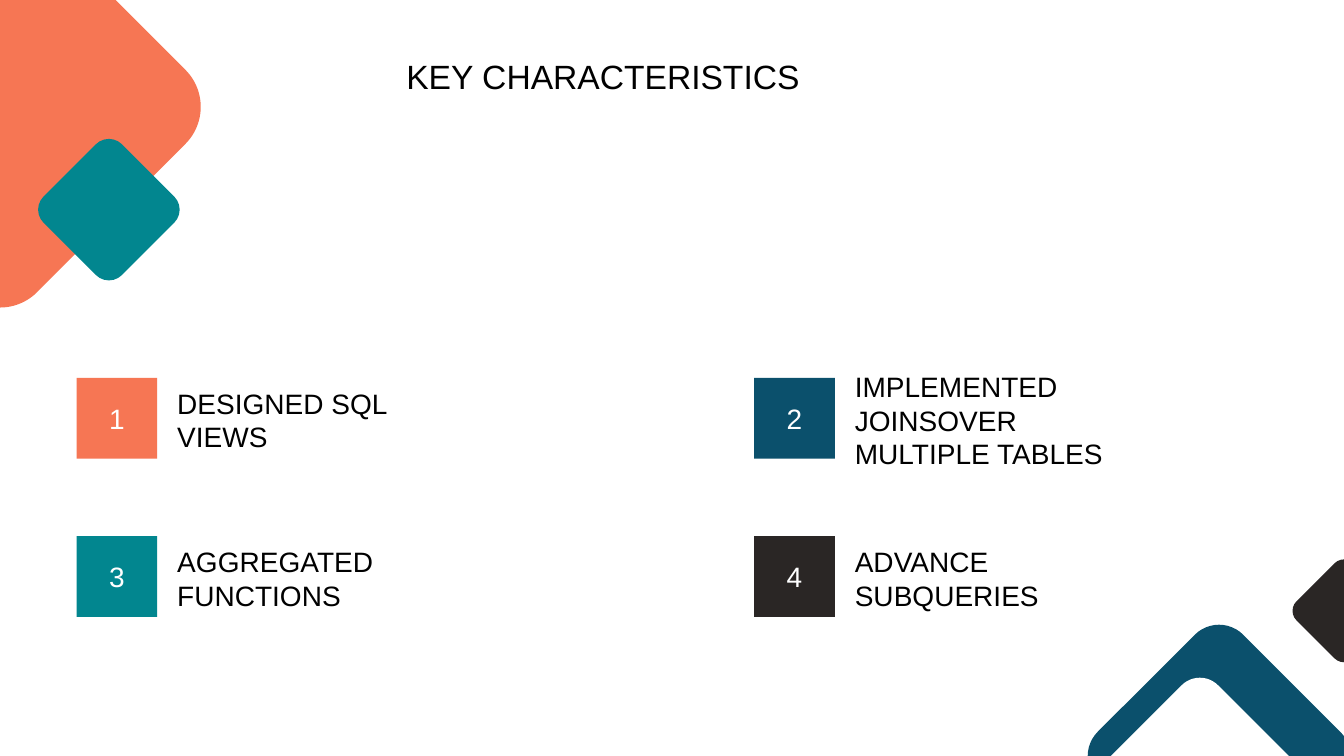
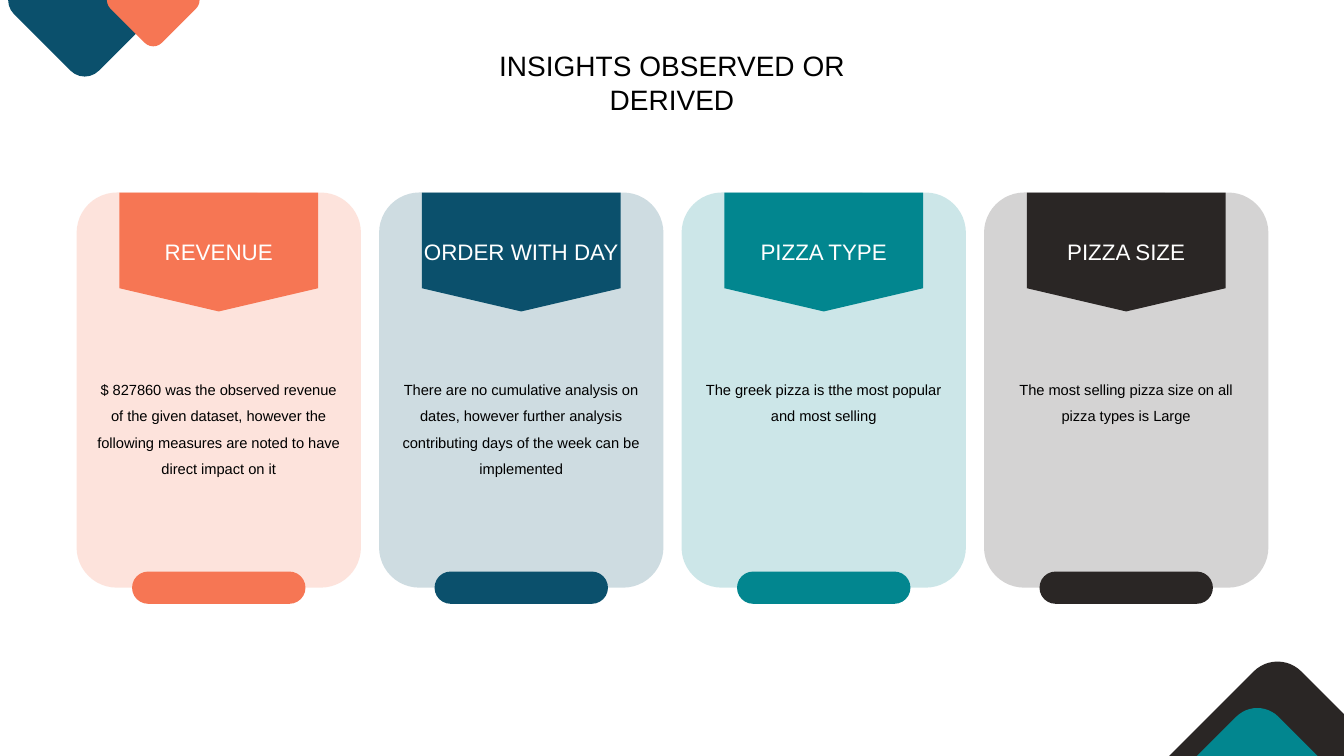
from pptx import Presentation
from pptx.dml.color import RGBColor
from pptx.enum.shapes import MSO_SHAPE
from pptx.enum.text import MSO_ANCHOR, MSO_AUTO_SIZE, PP_ALIGN
from pptx.oxml.ns import qn
from pptx.util import Inches, Pt
from lxml import etree

# Enum members
RECT, ROUND_RECT = MSO_SHAPE.RECTANGLE, MSO_SHAPE.ROUNDED_RECTANGLE
LEFT, CENTER = PP_ALIGN.LEFT, PP_ALIGN.CENTER
TOP, MIDDLE = MSO_ANCHOR.TOP, MSO_ANCHOR.MIDDLE
NO_AUTOFIT = MSO_AUTO_SIZE.NONE
TITLE_ONLY = 5

# Palette and font
CORAL = RGBColor(0xF6, 0x76, 0x54)
NAVY = RGBColor(0x0B, 0x50, 0x6C)
TEAL = RGBColor(0x02, 0x86, 0x8F)
CHARCOAL = RGBColor(0x2A, 0x26, 0x25)
WHITE = RGBColor(0xFF, 0xFF, 0xFF)
BLACK = RGBColor(0x00, 0x00, 0x00)
ACCENTS = (CORAL, NAVY, TEAL, CHARCOAL)
FONT = "Arial"

# Grid, in inches
SLIDE_W, SLIDE_H = 13.33, 7.5
MARGIN = 0.76
ITEM_COL, ITEM_ROW, ITEM_TOP = 6.72, 1.57, 3.75
BADGE, LABEL_GAP, LABEL_W = 0.8, 0.1, 2.9
CARD_COL, CARD_TOP, CARD_W, CARD_H = 3.0, 1.91, 2.82, 3.92
CARD_RADIUS, CARD_TINT = 0.4, 20
PENNANT_W, PENNANT_H, PENNANT_TIP = 1.97, 1.18, 0.23
PILL_W, PILL_H = 1.72, 0.32
NOTE_W, NOTE_TOP, NOTE_H = 2.67, 3.64, 1.16

# Content
ITEMS = ("DESIGNED SQL VIEWS", "IMPLEMENTED JOINSOVER MULTIPLE TABLES",
         "AGGREGATED FUNCTIONS", "ADVANCE SUBQUERIES")
CARDS = (
    ("REVENUE", "$ 827860 was the observed revenue of the given dataset, however "
                "the following measures are noted to have direct impact on it"),
    ("ORDER WITH DAY", "There are no cumulative analysis on dates, however further "
                       "analysis contributing days of the week can be implemented"),
    ("PIZZA TYPE", "The greek pizza is tthe most popular and most selling"),
    ("PIZZA SIZE", "The most selling pizza size on all pizza types is Large"),
)


def box(left, top, width, height):
    return [Inches(v) for v in (left, top, width, height)]


def write(shape, text, size, color=BLACK, align=CENTER, anchor=MIDDLE,
          spacing=1.0, wrap=True, inset=0.1):
    """Fill a shape, text box or placeholder with one formatted paragraph."""
    tf = shape.text_frame
    side, edge = Inches(inset), Inches(inset / 2)
    frame_format = {"auto_size": NO_AUTOFIT, "word_wrap": wrap,
                    "vertical_anchor": anchor,
                    "margin_left": side, "margin_right": side,
                    "margin_top": edge, "margin_bottom": edge}
    for name, value in frame_format.items():
        setattr(tf, name, value)
    p = tf.paragraphs[0]
    p.alignment, p.line_spacing = align, spacing
    r = p.add_run()
    r.text = text
    for name, value in {"name": FONT, "size": Pt(size)}.items():
        setattr(r.font, name, value)
    r.font.color.rgb = color


def paint(shape, color, opacity=100):
    """Flat fill with no line or shadow."""
    shape.shadow.inherit = False
    shape.line.fill.background()
    shape.fill.solid()
    shape.fill.fore_color.rgb = color
    if opacity < 100:
        rgb = shape.fill._xPr.find(qn("a:solidFill")).find(qn("a:srgbClr"))
        etree.SubElement(rgb, qn("a:alpha")).set("val", str(opacity * 1000))
    return shape


def add_block(s, kind, bounds, color, radius=None, opacity=100):
    shape = s.shapes.add_shape(kind, *box(*bounds))
    if radius is not None:
        shape.adjustments[0] = radius / min(bounds[2:])
    return paint(shape, color, opacity)


def add_diamond(s, cx, cy, side, color):
    """Rounded square turned on its corner, placed by its centre."""
    bounds = (cx - side / 2, cy - side / 2, side, side)
    add_block(s, ROUND_RECT, bounds, color, radius=side / 6).rotation = 45


def add_text(s, bounds, text, size, **style):
    write(s.shapes.add_textbox(*box(*bounds)), text, size, **style)


def add_slide(prs, title, bounds, size, align, diamonds):
    """Slide with corner diamonds and a formatted title."""
    s = prs.slides.add_slide(prs.slide_layouts[TITLE_ONLY])
    for diamond in diamonds:
        add_diamond(s, *diamond)
    heading = s.shapes.title
    heading.left, heading.top, heading.width, heading.height = box(*bounds)
    write(heading, title, size, align=align)
    return s


def add_item(s, index, text):
    """Numbered square with its label, on a two-column grid."""
    row, col = divmod(index, 2)
    left, top = MARGIN + col * ITEM_COL, ITEM_TOP + row * ITEM_ROW
    badge = add_block(s, RECT, (left, top, BADGE, BADGE), ACCENTS[index])
    write(badge, str(index + 1), 20, color=WHITE)
    label = (left + BADGE + LABEL_GAP, top, LABEL_W, BADGE + 0.03)
    add_text(s, label, text, 20, align=LEFT)


def add_pennant(s, center, color, text):
    """Banner with a pointed lower edge."""
    left, right = center - PENNANT_W / 2, center + PENNANT_W / 2
    bottom = CARD_TOP + PENNANT_H
    shoulder = bottom - PENNANT_TIP
    outline = [(left, CARD_TOP), (right, CARD_TOP), (right, shoulder),
               (center, bottom), (left, shoulder)]
    points = [(Inches(x), Inches(y)) for x, y in outline]
    builder = s.shapes.build_freeform(*points[0])
    builder.add_line_segments(points[1:], close=True)
    pennant = paint(builder.convert_to_shape(), color)
    write(pennant, text, 16, color=WHITE, wrap=False, inset=0)


def add_card(s, index, heading, note):
    """Tinted card with a pennant, a note and a pill on its lower edge."""
    left, color = MARGIN + index * CARD_COL, ACCENTS[index]
    center, bottom = left + CARD_W / 2, CARD_TOP + CARD_H
    add_block(s, ROUND_RECT, (left, CARD_TOP, CARD_W, CARD_H), color,
              radius=CARD_RADIUS, opacity=CARD_TINT)
    add_pennant(s, center, color, heading)
    pill = (center - PILL_W / 2, bottom - PILL_H / 2, PILL_W, PILL_H)
    add_block(s, ROUND_RECT, pill, color, radius=PILL_H / 2)
    add_text(s, (center - NOTE_W / 2, NOTE_TOP, NOTE_W, NOTE_H), note, 10.5,
             anchor=TOP, spacing=1.5)


def main():
    prs = Presentation()
    prs.slide_width, prs.slide_height = Inches(SLIDE_W), Inches(SLIDE_H)

    # Key characteristics
    s = add_slide(prs, "KEY CHARACTERISTICS", (3.93, 0.5, 5.09, 0.5), 24, LEFT, (
        (0, 1.06, 3.12, CORAL),
        (1.08, 2.08, 1.1, TEAL),
        (12.09, SLIDE_H, 2.04, NAVY),
        (SLIDE_W, 6.06, 0.8, CHARCOAL),
        (11.9, 7.7, 1.53, WHITE)))
    for index, text in enumerate(ITEMS):
        add_item(s, index, text)

    # Insights
    s = add_slide(prs, "INSIGHTS OBSERVED OR DERIVED", (4.81, 0.43, 3.71, 0.77),
                  20, CENTER, (
                      (0.84, 0, 1.19, NAVY),
                      (1.52, 0, 0.72, CORAL),
                      (12.67, 7.84, 2.0, CHARCOAL),
                      (12.47, 8.16, 1.78, TEAL)))
    for index, (heading, note) in enumerate(CARDS):
        add_card(s, index, heading, note)

    prs.save("out.pptx")


if __name__ == "__main__":
    main()
